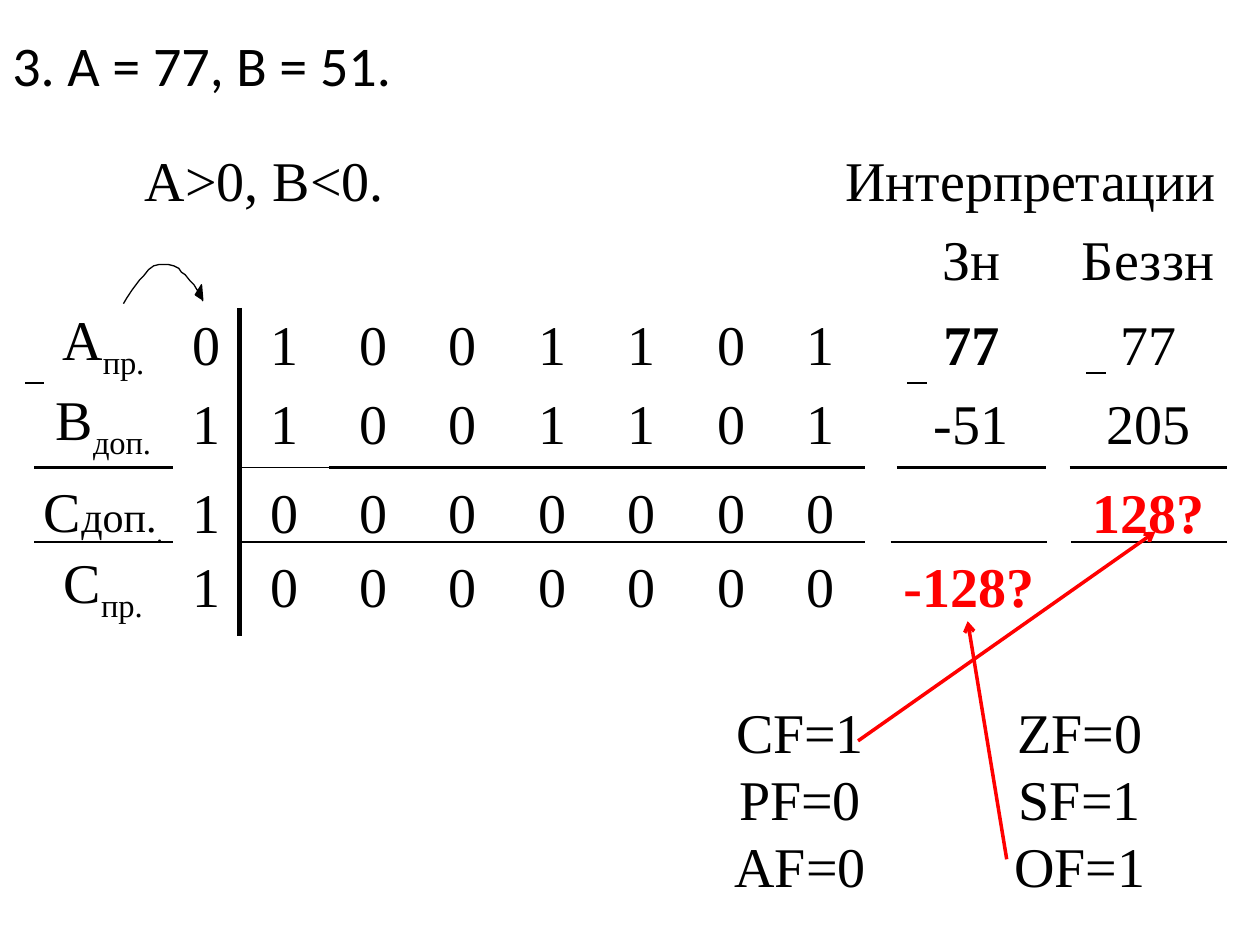
from lxml import etree
from pptx import Presentation
from pptx.dml.color import RGBColor
from pptx.enum import shapes, text
from pptx.oxml import ns
from pptx.util import Inches, Pt

BLACK, RED = "000000", "FF0000"
NO_GRID_STYLE = "{2D5ABB26-0587-4C30-8999-92F81FD0307C}"
RULED_COLUMNS = {0, 2, 3, 4, 5, 6, 7, 8, 10, 12}


def color(value):
    return RGBColor.from_string(value)


def add_grid(left, top, columns, rows, height, contents, first_border_row=None):
    """Add a table; "C_пр." sets what follows the underscore as a subscript.

    Rows count from first_border_row in the layout of the subtraction; without
    it the table has no borders.
    """
    frame = slide.shapes.add_table(len(rows), len(columns), Inches(left), Inches(top),
                                   Inches(sum(columns)), Inches(height))
    table = frame.table
    table.first_row = table.horz_banding = False
    table._tbl.tblPr.find(ns.qn("a:tableStyleId")).text = NO_GRID_STYLE
    for column, width in zip(table.columns, columns):
        column.width = Inches(width)
    for row, row_height in zip(table.rows, rows):
        row.height = Inches(row_height)
    frame.height = Inches(height)

    for row, values in enumerate(contents):
        for column, value in enumerate(values):
            cell = table.cell(row, column)
            cell.margin_left = cell.margin_right = Inches(0.07)
            cell.margin_top = cell.margin_bottom = 0
            cell.vertical_anchor = text.MSO_ANCHOR.MIDDLE

            widths = {}
            if first_border_row is not None:
                border_row = first_border_row + row
                if border_row >= 2 and column in (1, 2):
                    widths["R" if column == 1 else "L"] = 3
                if border_row in (3, 4) and column in RULED_COLUMNS:
                    widths["B" if border_row == 3 else "T"] = 1 if column == 2 else 1.5
            properties = cell._tc.get_or_add_tcPr()
            for side in "LRTB":
                line = etree.SubElement(properties, ns.qn(f"a:ln{side}"))
                if side in widths:
                    line.set("w", str(Pt(widths[side])))
                    fill = etree.SubElement(line, ns.qn("a:solidFill"))
                    etree.SubElement(fill, ns.qn("a:srgbClr"), val=BLACK)
                else:
                    etree.SubElement(line, ns.qn("a:noFill"))
            cell.fill.background()

            if not value:
                continue
            paragraph = cell.text_frame.paragraphs[0]
            paragraph.alignment = text.PP_ALIGN.CENTER
            for index, part in enumerate(value.split("_")):
                run = paragraph.add_run()
                run.text = part
                run.font.name = "Times New Roman"
                run.font.size = Pt(32)
                run.font.bold = "?" in value
                run.font.color.rgb = color(RED if "?" in value else BLACK)
                if index:
                    run.font._element.set("baseline", "-25000")
    return table


presentation = Presentation()
presentation.slide_width, presentation.slide_height = Inches(10), Inches(7.5)
slide = presentation.slides.add_slide(presentation.slide_layouts[6])

title = slide.shapes.add_textbox(0, Inches(0.19), Inches(10), Inches(0.64))
title.text_frame.word_wrap = True
title.text_frame.text = "3. А = 77, В = 51."
title_font = title.text_frame.paragraphs[0].runs[0].font
title_font.name, title_font.size = "Calibri", Pt(32)
title_font.color.rgb = color(BLACK)

# Subtraction of the operands
bit_columns = [1.1, 0.53] + [0.71] * 7
subtraction = add_grid(
    0.27, 1.18, bit_columns + [0.25, 1.18, 0.19, 1.25], [0.33, 0.73, 0.35, 0.66, 0.75], 3.2,
    [["А>0, B<0.\tИнтерпретации"] + [""] * 12,
     [""] * 10 + ["Зн", "", "Беззн"],
     ["A_пр.", *"01001101", "", "77", "", "77"],
     ["B_доп.", *"11001101", "", "-51", "", "205"],
     ["C_доп._.", *"10000000", "", "", "", "128?"]],
    first_border_row=0)
subtraction.cell(2, 10).text_frame.paragraphs[0].runs[0].font.bold = True

label_runs = subtraction.cell(4, 0).text_frame.paragraphs[0].runs
del label_runs[1].font._element.attrib["baseline"]
for run in label_runs[1:]:
    run.font.size = Pt(24)

heading = subtraction.cell(0, 0)
heading.merge(subtraction.cell(0, 12))
heading.margin_left, heading.margin_right = Inches(0.88), 0
heading_paragraph = heading.text_frame.paragraphs[0]
heading_paragraph.alignment = text.PP_ALIGN.LEFT
tabs = etree.SubElement(heading_paragraph._p.get_or_add_pPr(), ns.qn("a:tabLst"))
etree.SubElement(tabs, ns.qn("a:tab"), pos=str(Inches(5.56)), algn="l")

# Curved borrow arrow with a scribbled head
arc = [(0.98, 2.41), (1.01, 2.36), (1.05, 2.3), (1.08, 2.26), (1.11, 2.22), (1.14, 2.19),
       (1.18, 2.14), (1.22, 2.11), (1.26, 2.1), (1.3, 2.1), (1.34, 2.1), (1.38, 2.11),
       (1.42, 2.13), (1.44, 2.16), (1.47, 2.18), (1.51, 2.23), (1.54, 2.26), (1.57, 2.31),
       (1.61, 2.38)]
head = [(1.55, 2.34), (1.6, 2.26), (1.61, 2.38), (1.56, 2.33), (1.6, 2.28), (1.6, 2.37),
        (1.57, 2.32), (1.59, 2.3), (1.59, 2.36), (1.58, 2.31), (1.61, 2.39)]
points = [(Inches(x), Inches(y)) for x, y in arc + head]
builder = slide.shapes.build_freeform(*points[0])
builder.add_line_segments(points[1:], close=False)
borrow = builder.convert_to_shape()
borrow.shadow.inherit = False
borrow.fill.background()
borrow.line.color.rgb = color(BLACK)
borrow.line.width = Pt(0.75)

# Result in direct code, then the flags
add_grid(0.27, 4.3, bit_columns + [0.2, 1.24, 0.19, 1.24], [0.75], 0.75,
         [["C_пр.", *"10000000", "", "-128?", "", ""]], first_border_row=4)
add_grid(5.24, 5.56, [2.22] * 2, [0.53] * 3, 1.6,
         [["CF=1", "ZF=0"], ["PF=0", "SF=1"], ["AF=0", "OF=1"]])

# Minus signs, then arrows from the flags to the results
for start_x, start_y, end_x, end_y, line_color, width in [
    (0.2, 3.04, 0.35, 3.04, BLACK, 1.5),
    (8.62, 2.96, 8.78, 2.96, BLACK, 1.5),
    (7.2, 3.04, 7.36, 3.04, BLACK, 1.5),
    (6.81, 5.88, 9.17, 4.22, RED, 2),
    (7.99, 6.82, 7.68, 4.93, RED, 2),
]:
    connector = slide.shapes.add_connector(
        shapes.MSO_CONNECTOR.STRAIGHT, Inches(start_x), Inches(start_y),
        Inches(end_x), Inches(end_y))
    connector.line.color.rgb = color(line_color)
    connector.line.width = Pt(width)
    if line_color == RED:
        etree.SubElement(connector.line._get_or_add_ln(), ns.qn("a:tailEnd"), type="arrow")
    etree.SubElement(connector._element.spPr, ns.qn("a:effectLst"))

presentation.save("out.pptx")
